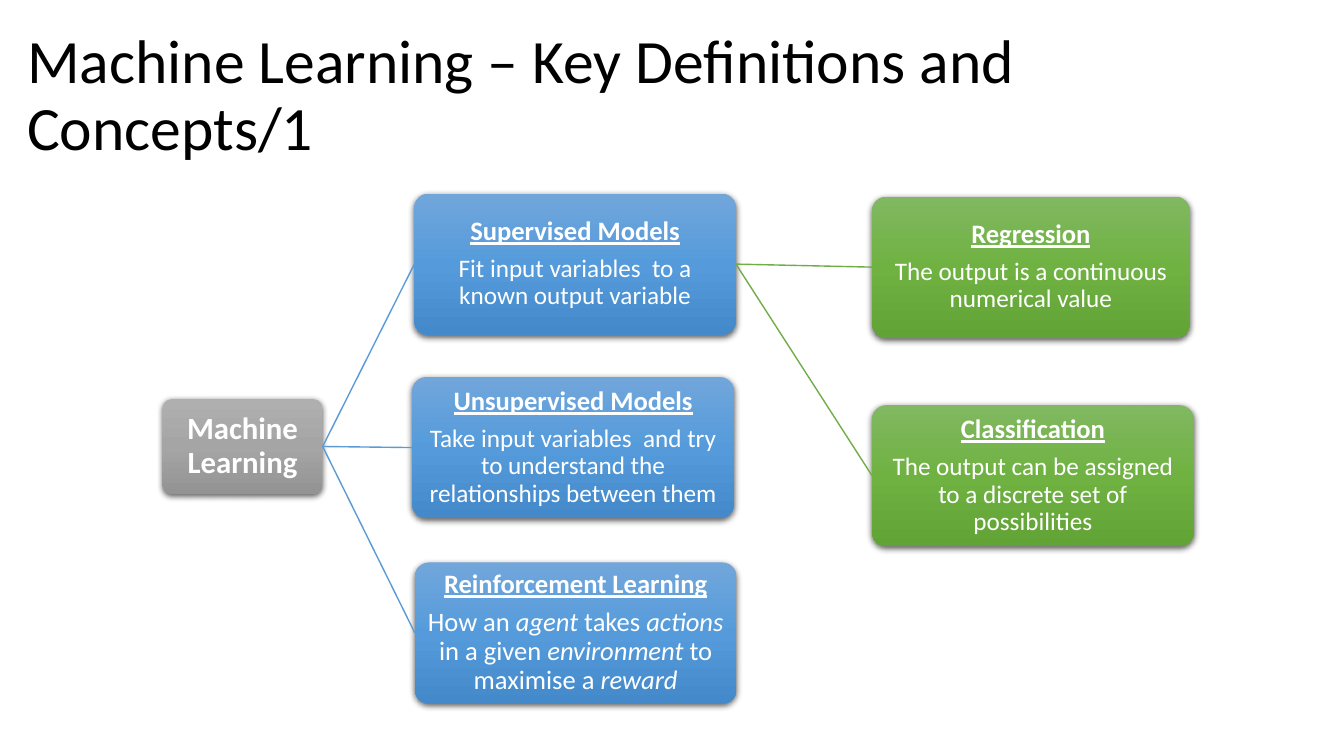
from pptx import Presentation
from pptx.dml.color import RGBColor
from pptx.enum.shapes import MSO_CONNECTOR, MSO_SHAPE
from pptx.enum.text import MSO_ANCHOR, PP_ALIGN
from pptx.oxml import parse_xml
from pptx.oxml.ns import nsdecls
from pptx.util import Inches, Pt

INK = {"black": "000000", "white": "FFFFFF", "blue": "5B9BD5", "green": "70AD47"}
FADE = {
    "gray": ("AFAFAF", "A5A5A5", "939393"),
    "blue": ("71A6DB", "559BDB", "448ACA"),
    "green": ("81B861", "6FB242", "62A336"),
}
LEFT, RIGHT = 1, 3

deck = Presentation()
deck.slide_width, deck.slide_height = Inches(13.33), Inches(7.5)
wide, high = deck.slide_width / 100, deck.slide_height / 100
slide = deck.slides.add_slide(deck.slide_layouts[6])
shapes = slide.shapes


def write(para, text, size, ink="white", bold=False, under=False, slant=False):
    para.line_spacing = 0.9
    run = para.add_run()
    run.text = text
    font = run.font
    font.name, font.size = "Calibri", Pt(size)
    font.bold, font.underline, font.italic = bold, under, slant
    font.color.rgb = RGBColor.from_string(INK[ink])


def card(left, top, width, height, tone, inset):
    box = shapes.add_shape(
        MSO_SHAPE.ROUNDED_RECTANGLE,
        round(left * wide), round(top * high), round(width * wide), round(height * high),
    )
    box.adjustments[0] = 0.1
    box.line.fill.background()
    stops = "".join(
        f'<a:gs pos="{i * 50000}"><a:srgbClr val="{hue}"/></a:gs>'
        for i, hue in enumerate(FADE[tone])
    )
    props = box.element.spPr
    props.insert(2, parse_xml(
        f'<a:gradFill {nsdecls("a")} rotWithShape="1"><a:gsLst>{stops}</a:gsLst>'
        '<a:lin ang="5400000" scaled="0"/></a:gradFill>'
    ))
    props.append(parse_xml(
        f'<a:effectLst {nsdecls("a")}><a:outerShdw blurRad="{Pt(4.5)}" dist="{Pt(1.5)}" '
        'dir="5400000" algn="ctr" rotWithShape="0"><a:srgbClr val="000000">'
        '<a:alpha val="63000"/></a:srgbClr></a:outerShdw></a:effectLst>'
    ))
    frame = box.text_frame
    frame.word_wrap = True
    frame.vertical_anchor = MSO_ANCHOR.MIDDLE
    frame.margin_left = frame.margin_right = Inches(inset)
    frame.margin_top = frame.margin_bottom = Inches(inset)
    frame.paragraphs[0].alignment = PP_ALIGN.CENTER
    return box


title = shapes.add_textbox(
    round(1.28 * wide), round(3.2 * high), round(96.85 * wide), round(19.33 * high)
).text_frame
title.word_wrap = True
title.vertical_anchor = MSO_ANCHOR.MIDDLE
write(title.paragraphs[0], "Machine Learning – Key Definitions and Concepts/1", 44, "black")

root = card(12.08, 52.8, 11.93, 12.53, "gray", 0.05)
write(root.text_frame.paragraphs[0], "Machine Learning", 22, bold=True)
nodes = {"Machine Learning": root}

topics = [
    ("Machine Learning", "Supervised Models", 30.83, 25.6, 23.93, "blue", 18,
     ["Fit input variables  to a known output variable"]),
    ("Supervised Models", "Regression", 64.89, 26, 23.63, "green", 18,
     ["The output is a continuous numerical value"]),
    ("Supervised Models", "Classification", 64.89, 53.6, 23.93, "green", 18,
     ["The output can be assigned to a discrete set of possibilities"]),
    ("Machine Learning", "Unsupervised Models", 30.68, 49.87, 23.93, "blue", 18,
     ["Take input variables  and try to understand the relationships between them"]),
    ("Machine Learning", "Reinforcement Learning", 30.87, 74.4, 23.93, "blue", 19,
     ["How an ", "agent", " takes ", "actions", " in a given ", "environment",
      " to maximise a ", "reward"]),
]

for source, name, left, top, width, tone, size, parts in topics:
    box = card(left, top, width, 18.67, tone, 0.05)
    nodes[name] = box
    head = box.text_frame.paragraphs[0]
    head.space_after = Pt(6.65)
    write(head, name, 19, bold=True, under=True)
    body = box.text_frame.add_paragraph()
    body.alignment = PP_ALIGN.CENTER
    for i, part in enumerate(parts):
        write(body, part, size, slant=i % 2 == 1)

    link = shapes.add_connector(MSO_CONNECTOR.STRAIGHT, 0, 0, 0, 0)
    link.begin_connect(nodes[source], RIGHT)
    link.end_connect(box, LEFT)
    link.line.width = Pt(1)
    link.line.color.rgb = RGBColor.from_string(INK[tone])
    link.element.spPr.append(parse_xml(f'<a:effectLst {nsdecls("a")}/>'))

deck.save("out.pptx")
